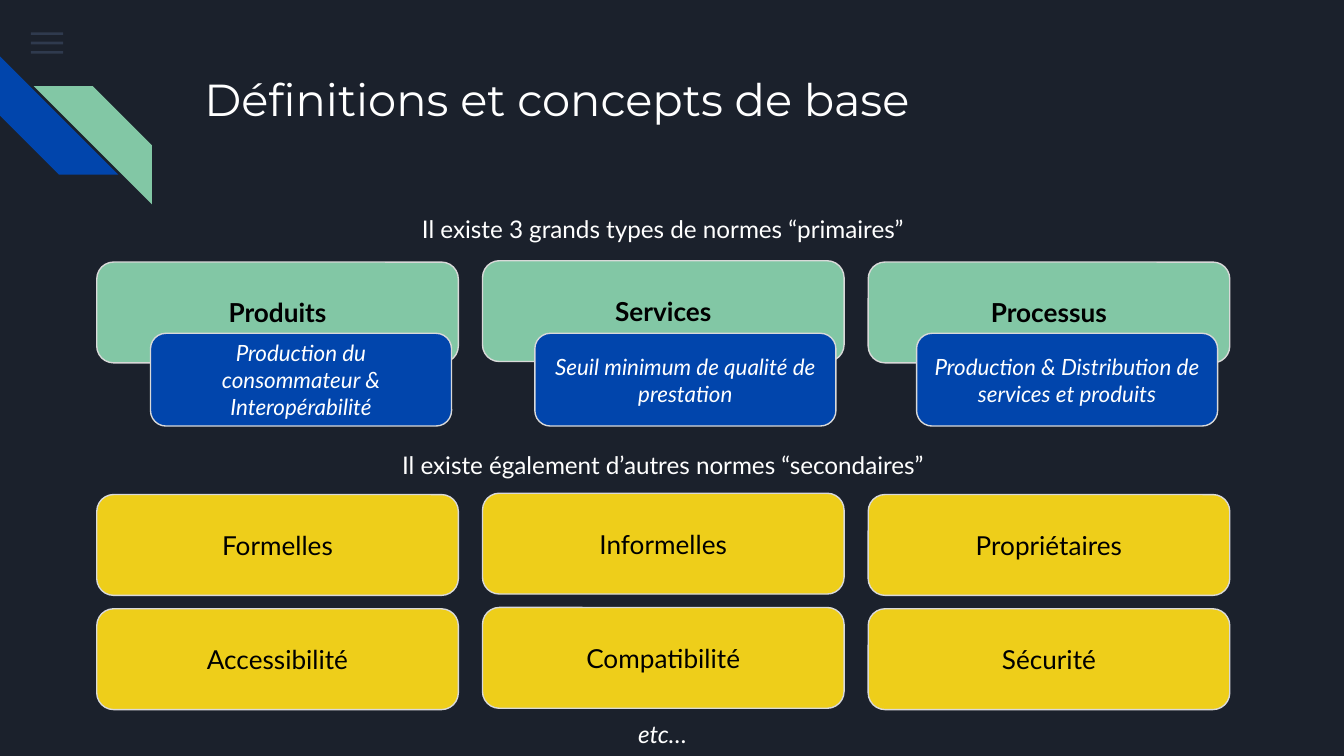
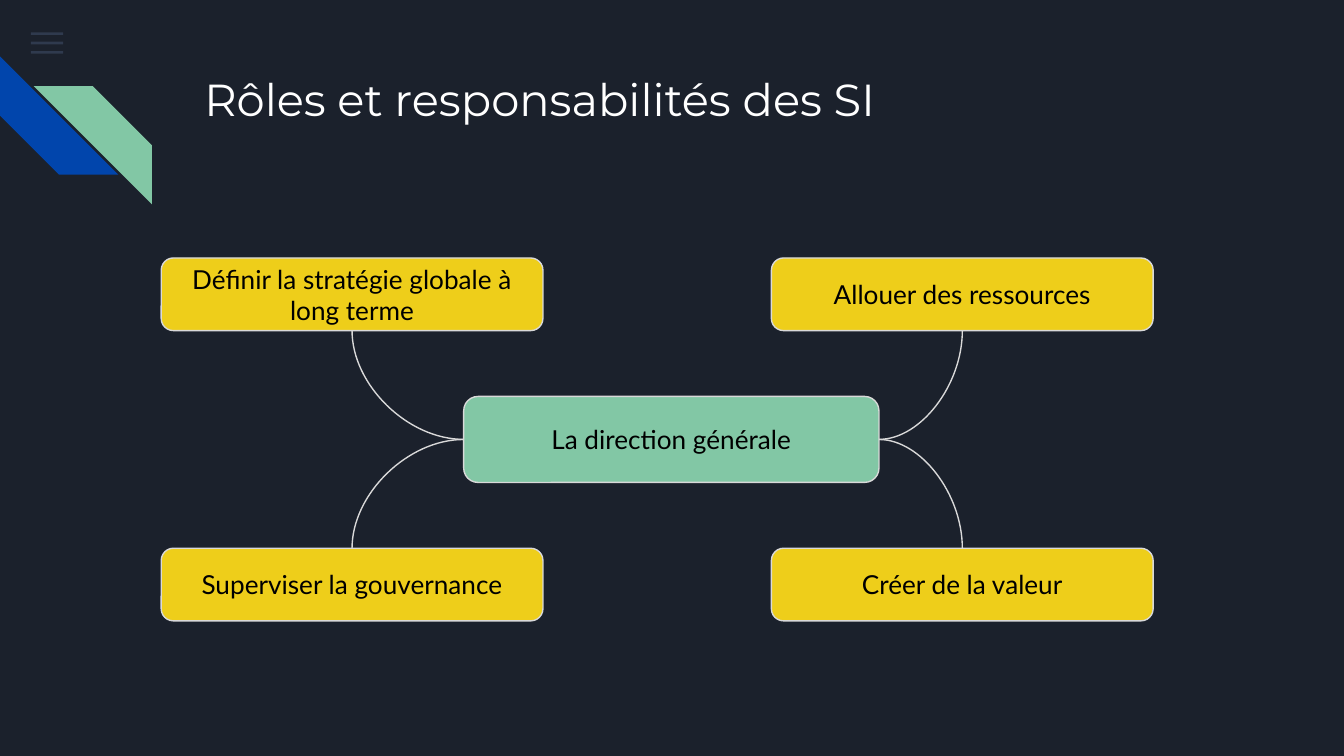
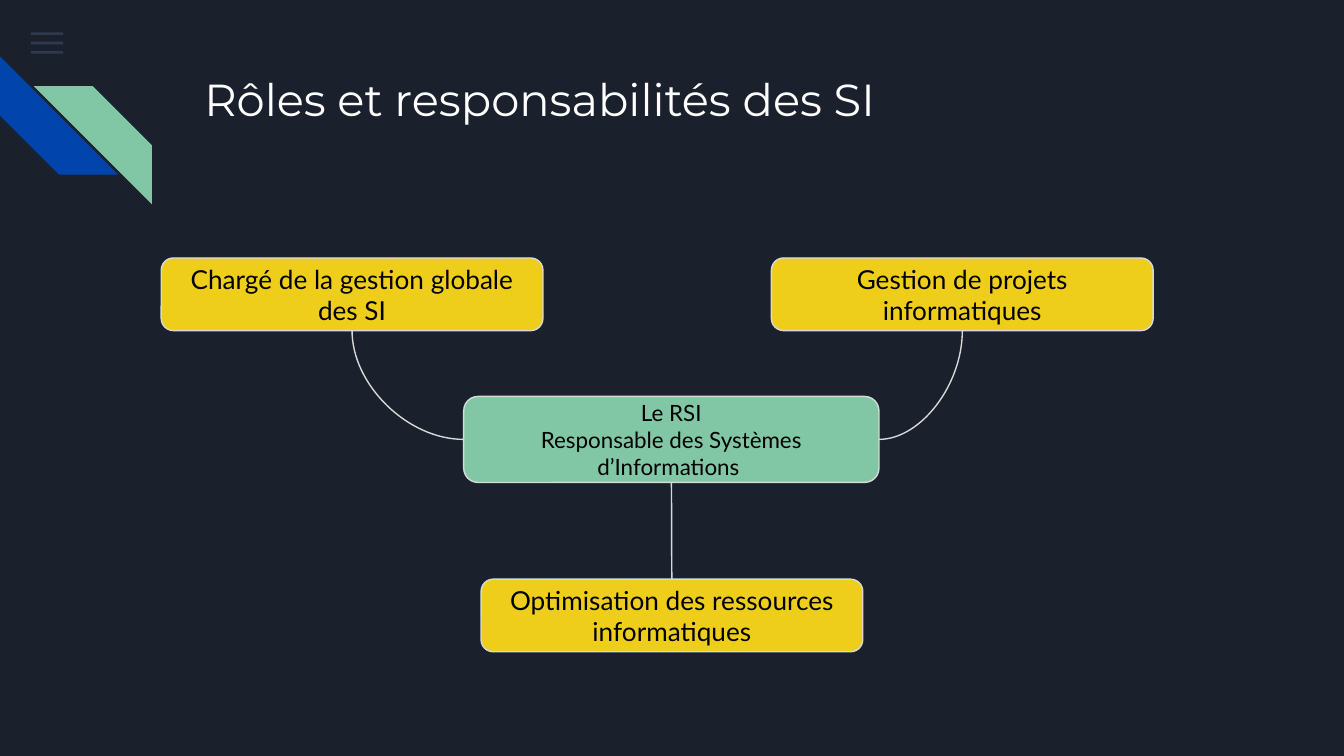
from lxml import etree
from pptx import Presentation
from pptx.dml.color import RGBColor
from pptx.enum.shapes import MSO_CONNECTOR, MSO_SHAPE
from pptx.enum.text import MSO_ANCHOR, MSO_AUTO_SIZE, PP_ALIGN
from pptx.oxml.ns import qn
from pptx.util import Inches, Pt

RECTANGLE = MSO_SHAPE.RECTANGLE
ROUNDED = MSO_SHAPE.ROUNDED_RECTANGLE
STRIPE = MSO_SHAPE.DIAGONAL_STRIPE
CURVE = MSO_CONNECTOR.CURVE
TOP, MIDDLE = MSO_ANCHOR.TOP, MSO_ANCHOR.MIDDLE
LEFT_ALIGN, CENTER = PP_ALIGN.LEFT, PP_ALIGN.CENTER
NO_AUTOFIT = MSO_AUTO_SIZE.NONE
TOP_SIDE, LEFT_SIDE, BOTTOM_SIDE, RIGHT_SIDE = range(4)

COMPARISON_LAYOUT, TITLE_ONLY_LAYOUT = 4, 5
COLORS = {
    "background": "1B212C",
    "menu": "55688B",
    "blue": "0145AC",
    "green": "82C7A5",
    "yellow": "EECE1A",
    "outline": "D9D9D9",
    "white": "FFFFFF",
    "black": "000000",
}


def rgb(name):
    return RGBColor.from_string(COLORS[name])


def write_text(shape, text, size=14, color="black", font="Lato", bold=False,
               italic=False, align=CENTER, anchor=MIDDLE, line_spacing=1.0,
               space_after=0, plain_list=False):
    frame = shape.text_frame
    frame.word_wrap = True
    frame.auto_size = NO_AUTOFIT
    frame.vertical_anchor = anchor
    frame.margin_left = frame.margin_right = Inches(0.1)
    frame.margin_top = frame.margin_bottom = Inches(0.1)
    frame.text = text
    for paragraph in frame.paragraphs:
        if plain_list:
            properties = paragraph._p.get_or_add_pPr()
            properties.set("marL", "0")
            properties.set("indent", "0")
            etree.SubElement(properties, qn("a:buNone"))
        paragraph.alignment = align
        paragraph.line_spacing = line_spacing
        paragraph.space_before = Pt(0)
        paragraph.space_after = Pt(space_after)
        for run in paragraph.runs:
            run.font.name = font
            run.font.size = Pt(size)
            run.font.bold = bold
            run.font.italic = italic
            run.font.color.rgb = rgb(color)


def place(shape, left, top, width, height):
    shape.left, shape.top = Inches(left), Inches(top)
    shape.width, shape.height = Inches(width), Inches(height)


class Deck:
    def __init__(self):
        self.presentation = Presentation()
        self.presentation.slide_width = Inches(10)
        self.presentation.slide_height = Inches(10) * 9 // 16
        self.slide = None

    def add_slide(self, title, layout=TITLE_ONLY_LAYOUT):
        layouts = self.presentation.slide_layouts
        self.slide = self.presentation.slides.add_slide(layouts[layout])
        shape = self.slide.shapes.title
        place(shape, 1.42, 0.43, 7.7, 1)
        write_text(shape, title, size=24, color="white", font="Montserrat",
                   align=LEFT_ALIGN, anchor=TOP)

    def shape(self, kind, left, top, width, height, fill):
        shape = self.slide.shapes.add_shape(
            kind, Inches(left), Inches(top), Inches(width), Inches(height))
        shape.shadow.inherit = False
        shape.fill.solid()
        shape.fill.fore_color.rgb = rgb(fill)
        shape.line.fill.background()
        return shape

    def decorate_master(self):
        master = self.presentation.slide_master
        master.background.fill.solid()
        master.background.fill.fore_color.rgb = rgb("background")
        decorations = []
        for row in range(3):
            bar = self.shape(RECTANGLE, 0.23, 0.24 + 0.07 * row, 0.24, 0.02, "menu")
            color = bar.element.spPr.find(".//" + qn("a:srgbClr"))
            etree.SubElement(color, qn("a:alpha")).set("val", "36000")
            decorations.append(bar)
        blue_stripe = self.shape(STRIPE, 0, 0.42, 0.88, 0.88, "blue")
        blue_stripe.rotation = 270
        green_stripe = self.shape(STRIPE, 0.25, 0.64, 0.88, 0.88, "green")
        green_stripe.element.spPr.xfrm.set("flipH", "1")
        decorations += [blue_stripe, green_stripe]
        for number, decoration in enumerate(decorations):
            decoration.element.nvSpPr.cNvPr.set("id", str(101 + number))
            master.shapes.element.insert(2 + number, decoration.element)

    def card(self, text, left, top, width, height, fill, **text_format):
        card = self.shape(ROUNDED, left, top, width, height, fill)
        card.line.color.rgb = rgb("outline")
        card.line.width = Pt(0.75)
        write_text(card, text, **text_format)
        return card

    def card_row(self, labels, top, fill, **text_format):
        for column, label in enumerate(labels):
            lift = 0.01 if column == 1 else 0
            self.card(label, 0.72 + 2.87 * column, top - lift, 2.69, 0.75,
                      fill, **text_format)

    def caption(self, index, text, top, italic=False):
        placeholder = self.slide.placeholders[index]
        place(placeholder, 0.72, top, 8.42, 0.45)
        write_text(placeholder, text, size=13, color="white", italic=italic,
                   anchor=TOP, line_spacing=1.15, space_after=16, plain_list=True)
        self.slide.shapes.element.append(placeholder.element)

    def link(self, start, start_side, end, end_side, preset="curvedConnector2"):
        connector = self.slide.shapes.add_connector(CURVE, 0, 0, 0, 0)
        connector.begin_connect(start, start_side)
        connector.end_connect(end, end_side)
        connector.line.color.rgb = rgb("outline")
        connector.line.width = Pt(0.75)
        properties = connector.element.spPr
        properties.find(qn("a:prstGeom")).set("prst", preset)
        etree.SubElement(properties, qn("a:effectLst"))

    def hub(self, text, size=14):
        return self.card(text, 3.45, 2.95, 3.09, 0.64, "green", size=size)

    def role(self, text, left, top):
        return self.card(text, left, top, 2.84, 0.54, "yellow")

    def linked_roles(self, hub, labels, top, facing_side):
        for label, left, hub_side in zip(labels, (1.2, 5.74), (LEFT_SIDE, RIGHT_SIDE)):
            self.link(hub, hub_side, self.role(label, left, top), facing_side)

    def remove_empty_placeholders(self):
        for placeholder in list(self.slide.placeholders):
            if not placeholder.text_frame.text:
                placeholder.element.getparent().remove(placeholder.element)


def build_definitions(deck):
    deck.add_slide("Définitions et concepts de base", COMPARISON_LAYOUT)
    deck.decorate_master()
    deck.caption(1, "Il existe 3 grands types de normes “primaires”", 1.46)
    deck.card_row(("Produits", "Services", "Processus"), 1.95, "green", bold=True)
    details = (
        (1.12, "Production du consommateur & Interopérabilité"),
        (3.98, "Seuil minimum de qualité de prestation"),
        (6.82, "Production & Distribution de services et produits"),
    )
    for left, detail in details:
        deck.card(detail, left, 2.48, 2.24, 0.69, "blue",
                  size=12, color="white", italic=True)
    deck.caption(3, "Il existe également d’autres normes “secondaires”", 3.22)
    deck.card_row(("Formelles", "Informelles", "Propriétaires"), 3.68, "yellow")
    deck.card_row(("Accessibilité", "Compatibilité", "Sécurité"), 4.53, "yellow")
    deck.caption(2, "etc…", 5.22, italic=True)
    deck.remove_empty_placeholders()


def build_management(deck):
    deck.add_slide("Rôles et responsabilités des SI")
    hub = deck.hub("La direction générale")
    deck.linked_roles(hub, ("Définir la stratégie globale à long terme",
                            "Allouer des ressources"), 1.92, BOTTOM_SIDE)
    deck.linked_roles(hub, ("Superviser la gouvernance",
                            "Créer de la valeur"), 4.08, TOP_SIDE)


def build_systems_manager(deck):
    deck.add_slide("Rôles et responsabilités des SI")
    hub = deck.hub("Le RSI\nResponsable des Systèmes d’Informations ", size=12)
    deck.linked_roles(hub, ("Chargé de la gestion globale des SI",
                            "Gestion de projets informatiques"), 1.92, BOTTOM_SIDE)
    resources = deck.role("Optimisation des ressources informatiques", 3.58, 4.31)
    deck.link(hub, BOTTOM_SIDE, resources, TOP_SIDE, "curvedConnector3")


def main():
    deck = Deck()
    build_definitions(deck)
    build_management(deck)
    build_systems_manager(deck)
    deck.presentation.save("out.pptx")


if __name__ == "__main__":
    main()
